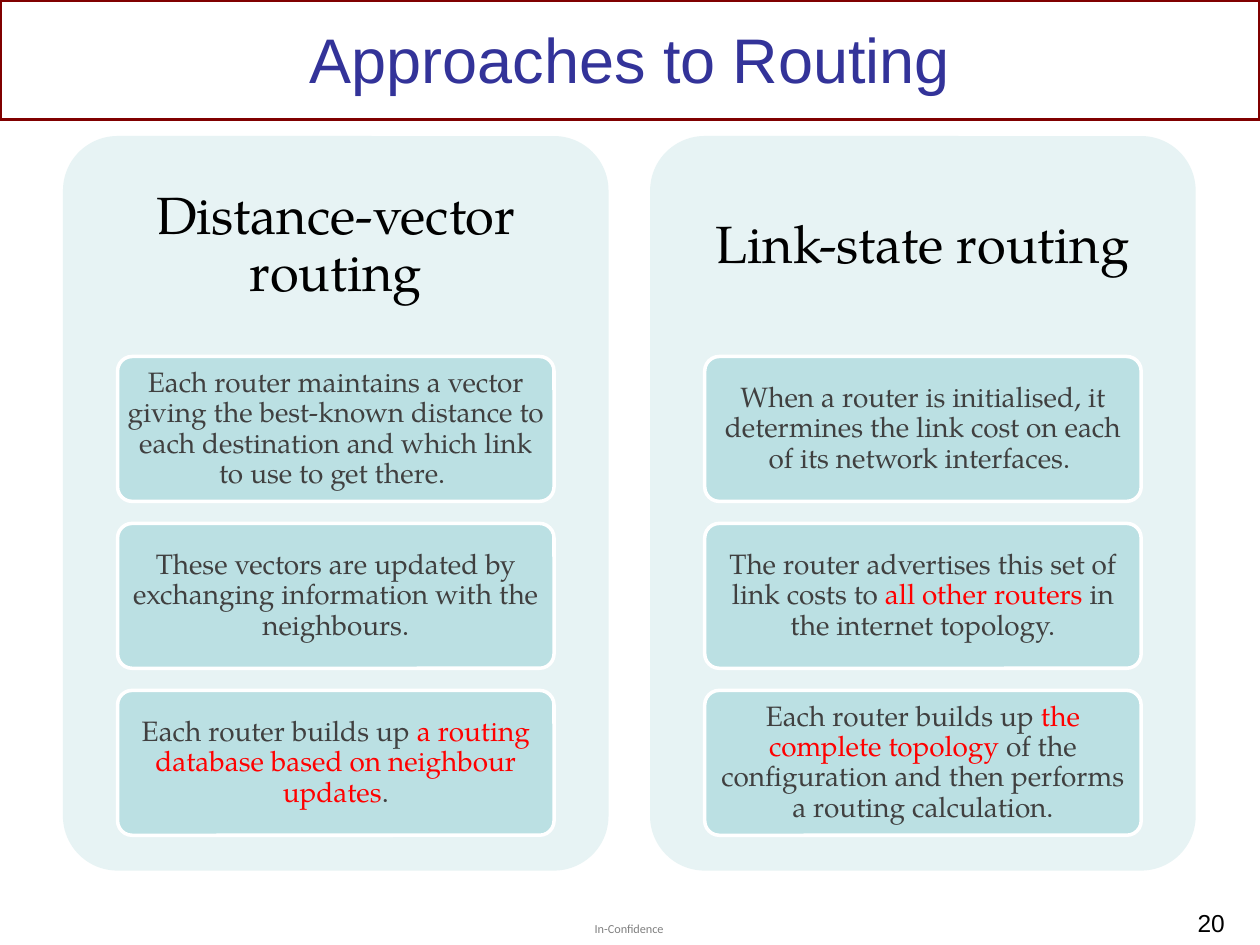
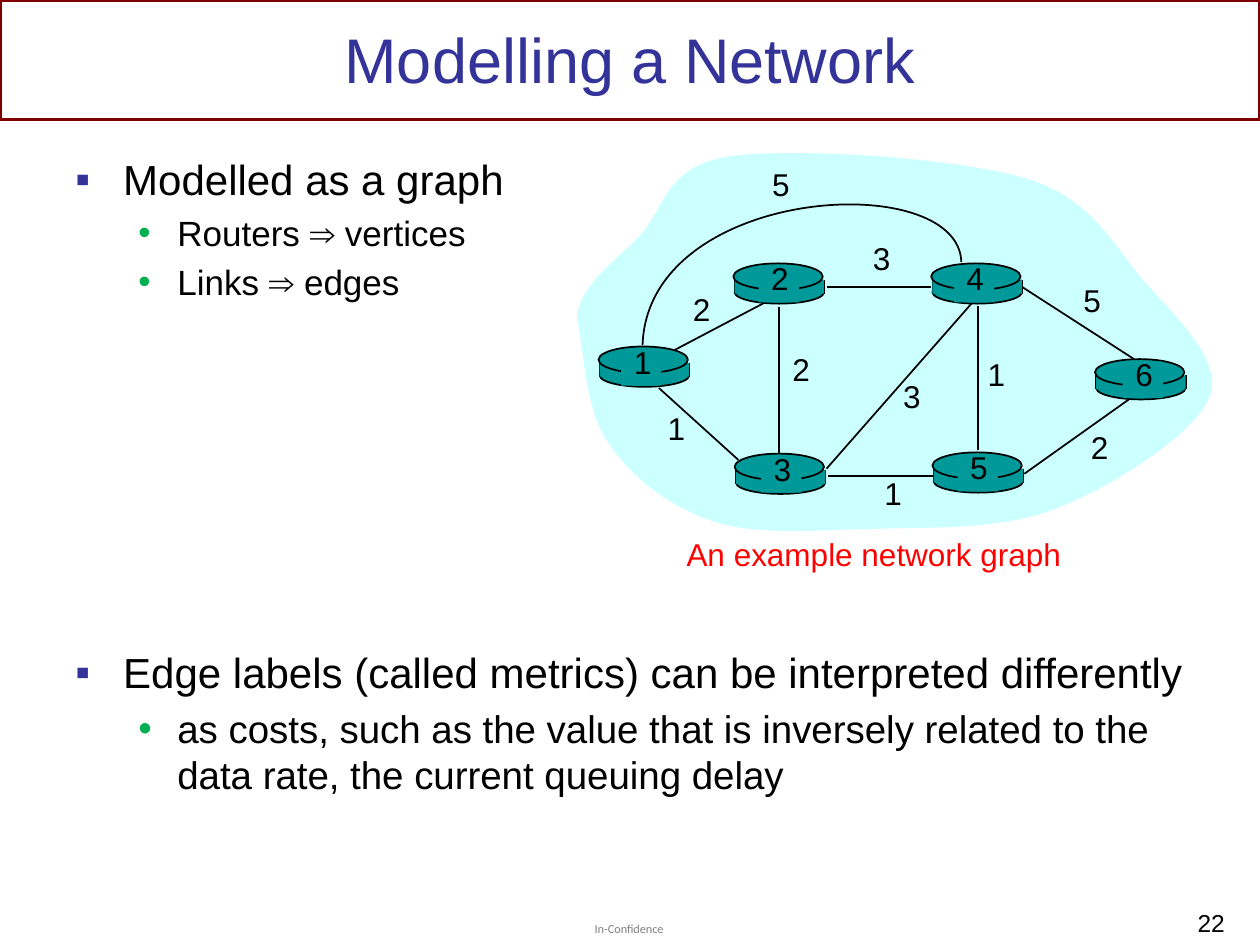
from lxml import etree
from pptx import Presentation
from pptx.dml import color
from pptx.enum import shapes, text
from pptx.oxml import ns
from pptx.util import Inches, Pt

SANS, SERIF = "Arial", "TeX Gyre Pagella"
BLACK, RED, GREY, WHITE = "000000", "FF0000", "404040", "FFFFFF"
NAVY, MAROON, GREEN = "333399", "800000", "00B050"
PANEL, CARD = "E7F3F4", "BBE0E3"
CLOUD, ROUTER = "CCFFFF", "009999"
LEFT, CENTER, RIGHT = text.PP_ALIGN.LEFT, text.PP_ALIGN.CENTER, text.PP_ALIGN.RIGHT
TOP, MIDDLE = text.MSO_ANCHOR.TOP, text.MSO_ANCHOR.MIDDLE
RECT = shapes.MSO_SHAPE.RECTANGLE
ROUNDED = shapes.MSO_SHAPE.ROUNDED_RECTANGLE
OVAL = shapes.MSO_SHAPE.OVAL

APPROACHES = [
    ("Distance-vector routing", [
        [("Each router maintains a vector giving the best-known distance to each "
          "destination and which link to use to get there. ", GREY)],
        [("These vectors are updated by exchanging information with the neighbours.", GREY)],
        [("Each router builds up ", GREY),
         ("a routing database based on neighbour updates", RED), (".", GREY)],
    ]),
    ("Link-state routing", [
        [("When a router is initialised, it determines the link cost on each of its "
          "network interfaces. ", GREY)],
        [("The router advertises this set of link costs to ", GREY),
         ("all other routers ", RED), ("in the internet topology.", GREY)],
        [("Each router builds up ", GREY), ("the complete topology ", RED),
         ("of the configuration and then performs a routing calculation.", GREY)],
    ]),
]

CLOUD_OUTLINE = [
    (0, 1.36),
    (0.01, 1.10), (0.30, 0.91), (0.50, 0.70),
    (0.70, 0.48), (0.70, 0.15), (1.21, 0.07),
    (1.72, 0), (2.99, 0.08), (3.54, 0.24),
    (4.09, 0.40), (4.24, 0.76), (4.49, 1.05),
    (4.74, 1.34), (5.13, 1.68), (5.02, 1.98),
    (4.90, 2.28), (4.24, 2.70), (3.79, 2.87),
    (3.33, 3.05), (2.72, 3.01), (2.27, 3.03),
    (1.81, 3.04), (1.40, 3.08), (1.06, 2.96),
    (0.73, 2.85), (0.41, 2.60), (0.24, 2.33),
    (0.06, 2.07), (0.05, 1.56), (0, 1.36),
]
ARC = [(3.05, 0.91), (3.03, 0.16), (0.56, 0.30), (0.52, 1.57)]
ARC_METRIC = ("5", 1.45, 0.09)
ROUTERS = [("1", 0.17, 1.58, 0.18), ("2", 1.24, 0.92, 0.20), ("3", 1.25, 2.43, 0.21),
           ("4", 2.81, 0.92, 0.18), ("5", 2.82, 2.42, 0.20), ("6", 4.11, 1.68, 0.22)]
LINKS = [
    ((0.77, 1.61), (1.55, 1.20), ("2", 0.82, 1.08)),
    ((1.60, 1.27), (1.60, 2.45), ("2", 1.61, 1.56)),
    ((0.65, 1.91), (1.28, 2.48), ("1", 0.62, 2.03)),
    ((1.98, 2.55), (3.13, 1.24), ("3", 2.49, 1.77)),
    ((1.99, 2.61), (2.83, 2.61), ("1", 2.34, 2.54)),
    ((3.18, 1.26), (3.18, 2.40), ("1", 3.16, 1.60)),
    ((3.55, 2.59), (4.38, 2.00), ("2", 3.98, 2.18)),
    ((3.52, 1.10), (4.42, 1.68), ("5", 3.92, 1.01)),
    ((1.98, 1.11), (2.81, 1.11), ("3", 2.25, 0.68)),
]


def rgb(value):
    return color.RGBColor.from_string(value)


def inches(*lengths):
    return [Inches(length) for length in lengths]


def paint(shape, fill=None, line=None, width=1):
    shape.shadow.inherit = False
    if fill:
        shape.fill.solid()
        shape.fill.fore_color.rgb = rgb(fill)
    else:
        shape.fill.background()
    if line:
        shape.line.color.rgb = rgb(line)
        shape.line.width = Pt(width)
    else:
        shape.line.fill.background()
    return shape


def add_figure(slide, preset, box, **style):
    return paint(slide.shapes.add_shape(preset, *inches(*box)), **style)


def add_line(slide, start, end):
    line = slide.shapes.add_connector(
        shapes.MSO_CONNECTOR.STRAIGHT, *inches(*start, *end))
    line.line.color.rgb = rgb(BLACK)
    line.line.width = Pt(1)
    etree.SubElement(line._element.spPr, ns.qn("a:effectLst"))


def add_curve(slide, knots, closed=False, **style):
    start, *rest = [inches(*knot) for knot in knots]
    outline = slide.shapes.build_freeform(*start)
    outline.add_line_segments(rest, close=closed)
    curve = outline.convert_to_shape()
    segments = list(curve._element.iter(ns.qn("a:lnTo")))
    for first in range(0, len(segments), 3):
        bezier = etree.Element(ns.qn("a:cubicBezTo"))
        segments[first].addprevious(bezier)
        for segment in segments[first:first + 3]:
            bezier.append(segment[0])
            segment.getparent().remove(segment)
    paint(curve, **style)


def add_bullet(paragraph, mark, mark_color, left, hanging):
    props = paragraph._p.get_or_add_pPr()
    props.set("marL", str(Inches(left)))
    props.set("indent", str(-Inches(hanging)))
    tint = etree.SubElement(props, ns.qn("a:buClr"))
    etree.SubElement(tint, ns.qn("a:srgbClr")).set("val", mark_color)
    etree.SubElement(props, ns.qn("a:buFont")).set("typeface", SANS)
    etree.SubElement(props, ns.qn("a:buChar")).set("char", mark)


def write(frame, paragraphs, size=18, font=SANS, ink=BLACK, align=LEFT, anchor=TOP,
          margins=(0.1, 0.05), spacing=None, wrap=True):
    frame.word_wrap = wrap
    frame.vertical_anchor = anchor
    frame.margin_left = frame.margin_right = Inches(margins[0])
    frame.margin_top = frame.margin_bottom = Inches(margins[1])
    for index, item in enumerate(paragraphs):
        paragraph = frame.paragraphs[0] if index == 0 else frame.add_paragraph()
        if isinstance(item, dict):
            add_bullet(paragraph, *item["bullet"])
            paragraph.space_before = Pt(item["before"])
            runs, points = [(item["text"], ink)], item["size"]
        else:
            runs, points = ([(item, ink)] if isinstance(item, str) else item), size
        paragraph.alignment = align
        if spacing:
            paragraph.line_spacing = spacing
        for words, tint in runs:
            run = paragraph.add_run()
            run.text = words
            run.font.name = font
            run.font.size = Pt(points)
            run.font.color.rgb = rgb(tint)


def add_text(slide, box, *paragraphs, **style):
    write(slide.shapes.add_textbox(*inches(*box)).text_frame, paragraphs, **style)


def add_frame(deck, title, number):
    slide = deck.slides.add_slide(deck.slide_layouts[6])
    add_figure(slide, RECT, (0, 0, 10, 0.95), line=MAROON, width=2)
    add_text(slide, (4.72, 7.31, 0.57, 0.12), "In-Confidence", size=7, font="Calibri",
             ink="808080", margins=(0, 0), wrap=False)
    add_text(slide, (0.5, 0.07, 9, 0.79), title, size=36, ink=NAVY,
             align=CENTER, anchor=MIDDLE)
    add_text(slide, (7.62, 7.16, 2.2, 0.3), number, size=14, align=RIGHT)
    return slide


def add_approach(slide, box, heading, points):
    left, top, width, height = box
    panel = add_figure(slide, ROUNDED, box, fill=PANEL)
    panel.adjustments[0] = 0.1
    add_text(slide, (left, top, width, height * 0.3), heading, size=30, font=SERIF,
             align=CENTER, anchor=MIDDLE, margins=(0.12, 0.12), spacing=0.9)
    for row, point in enumerate(points):
        card = add_figure(
            slide, ROUNDED,
            (left + width * 0.1, top + height * 0.3 + row * 1.325, width * 0.8, 1.15),
            fill=CARD, line=WHITE, width=2)
        card.adjustments[0] = 0.1
        write(card.text_frame, [point], size=16, font=SERIF, align=CENTER,
              anchor=MIDDLE, margins=(0.04, 0.03), spacing=0.9)


def add_router(slide, x, y, name, indent):
    add_figure(slide, OVAL, (x + 0.01, y + 0.14, 0.71, 0.18), fill=ROUTER, line=BLACK)
    for side in (x + 0.01, x + 0.72):
        add_line(slide, (side, y + 0.13), (side, y + 0.24))
    add_figure(slide, RECT, (x + 0.01, y + 0.13, 0.71, 0.11), fill=ROUTER)
    add_figure(slide, OVAL, (x, y, 0.71, 0.21), fill=ROUTER, line=BLACK)
    add_figure(slide, RECT, (x + indent, y + 0.02, 0.32, 0.29), fill=ROUTER)
    add_text(slide, (x + indent, y - 0.08, 0.34, 0.4), name, align=CENTER, wrap=False)


def add_network(slide, left, top):
    def place(point):
        return left + point[0], top + point[1]

    add_curve(slide, map(place, CLOUD_OUTLINE), closed=True, fill=CLOUD)
    for start, end, _ in LINKS:
        add_line(slide, place(start), place(end))
    for name, x, y, indent in ROUTERS:
        add_router(slide, *place((x, y)), name, indent)
    add_curve(slide, map(place, ARC), line=BLACK)
    for metric, *corner in [link[2] for link in LINKS] + [ARC_METRIC]:
        add_text(slide, (*place(corner), 0.33, 0.4), metric, align=CENTER, wrap=False)
    add_text(slide, (left + 0.77, top + 3.03, 3.48, 0.4), "An example network graph",
             ink=RED)


def topic(words, before=0):
    return {"text": words, "size": 24, "before": before,
            "bullet": ("▪", NAVY, 0.38, 0.38)}


def detail(words, size):
    return {"text": words, "size": size, "before": size * 0.2,
            "bullet": ("•", GREEN, 0.81, 0.31)}


def approaches_slide(deck):
    slide = add_frame(deck, "Approaches to Routing", "20")
    for column, (heading, points) in enumerate(APPROACHES):
        add_approach(slide, (0.5 + column * 4.66, 1.08, 4.33, 5.83), heading, points)


def network_slide(deck):
    slide = add_frame(deck, "Modelling a Network", "22")
    add_text(slide, (0.5, 1.08, 9, 5.83),
             topic("Modelled as a graph"),
             detail("Routers ⇒ vertices", 20),
             detail("Links ⇒ edges", 20),
             topic("Edge labels (called metrics) can be interpreted differently", 197),
             detail("as costs, such as the value that is inversely related to the "
                    "data rate, the current queuing delay", 22),
             margins=(0.1, 0.14))
    add_network(slide, 4.58, 1.17)


def main():
    deck = Presentation()
    deck.slide_width, deck.slide_height = inches(10, 7.5)
    approaches_slide(deck)
    network_slide(deck)
    deck.save("out.pptx")


if __name__ == "__main__":
    main()
